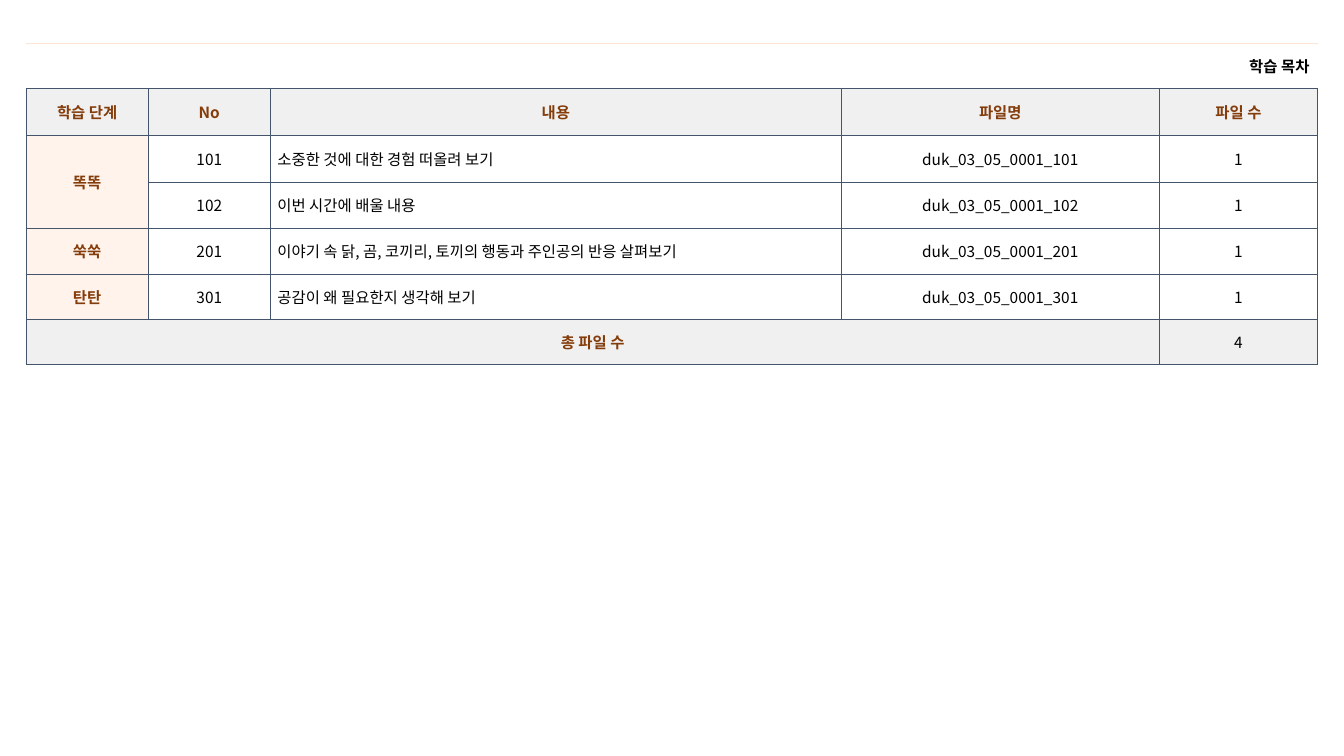
from lxml.etree import SubElement
from pptx import Presentation
from pptx.dml.color import RGBColor
from pptx.enum.text import MSO_ANCHOR, PP_ALIGN
from pptx.oxml.ns import qn
from pptx.util import Inches, Pt

FONT = "Noto Sans CJK KR"
COLORS = {
    "ink": "000000",
    "brown": "843C0B",
    "grey": "F1F0F0",
    "peach": "FFF3EB",
    "white": "FFFFFF",
    "grid": "44546A",
    "caption_line": "FBE5D6",
}
GRID_LINE = ("grid", 0.5)
GRID_BORDERS = {side: GRID_LINE for side in "LRTB"}
CAPTION_BORDERS = {"L": None, "R": None, "T": ("caption_line", 0.25), "B": GRID_LINE}

COLUMN_WIDTHS = [1.21, 1.21, 5.66, 3.15, 1.57]
ROW_HEIGHTS = [0.45, 0.46, 0.46, 0.46, 0.45, 0.45, 0.45]
CAPTION = "학습 목차"
HEADINGS = ["학습 단계", "No", "내용", "파일명", "파일 수"]
STAGES = [
    ("똑똑", [("101", "소중한 것에 대한 경험 떠올려 보기"), ("102", "이번 시간에 배울 내용")]),
    ("쑥쑥", [("201", "이야기 속 닭, 곰, 코끼리, 토끼의 행동과 주인공의 반응 살펴보기")]),
    ("탄탄", [("301", "공감이 왜 필요한지 생각해 보기")]),
]


def set_borders(cell, borders):
    properties = cell._tc.get_or_add_tcPr()
    for side, line in borders.items():
        border = SubElement(properties, qn(f"a:ln{side}"))
        if line is None:
            SubElement(border, qn("a:noFill"))
            continue
        color, width = line
        border.set("w", str(Pt(width)))
        fill = SubElement(border, qn("a:solidFill"))
        SubElement(fill, qn("a:srgbClr"), val=COLORS[color])


def style_cell(cell, fill=None, borders=GRID_BORDERS):
    set_borders(cell, borders)
    if fill:
        cell.fill.solid()
        cell.fill.fore_color.rgb = RGBColor.from_string(COLORS[fill])
    else:
        cell.fill.background()


def write_text(cell, text, color="ink", bold=False, align=PP_ALIGN.CENTER, inset=0.07):
    cell.vertical_anchor = MSO_ANCHOR.MIDDLE
    cell.margin_left = cell.margin_right = Inches(inset)
    cell.margin_top = cell.margin_bottom = Inches(0.05)
    para = cell.text_frame.paragraphs[0]
    para.alignment = align
    span = para.add_run()
    span.text = text
    span.font.size = Pt(11)
    span.font.bold = bold
    span.font.name = FONT
    span.font.color.rgb = RGBColor.from_string(COLORS[color])
    SubElement(span._r.get_or_add_rPr(), qn("a:ea"), typeface=FONT)


def write_label(cell, text):
    write_text(cell, text, color="brown", bold=True)


def fill_stages(table, first_row):
    """Write the lesson rows, merging each stage name down its files; return the file count."""
    row = first_row
    for stage, files in STAGES:
        last = row + len(files) - 1
        if last > row:
            table.cell(row, 0).merge(table.cell(last, 0))
        write_label(table.cell(row, 0), stage)
        for number, content in files:
            style_cell(table.cell(row, 0), "peach")
            for column in range(1, len(HEADINGS)):
                style_cell(table.cell(row, column), "white")
            write_text(table.cell(row, 1), number)
            write_text(table.cell(row, 2), content, align=PP_ALIGN.LEFT)
            write_text(table.cell(row, 3), f"duk_03_05_0001_{number}")
            write_text(table.cell(row, 4), "1")
            row += 1
    return row - first_row


def add_contents_table(page, left, top, width, height):
    frame = page.shapes.add_table(
        len(ROW_HEIGHTS), len(COLUMN_WIDTHS),
        Inches(left), Inches(top), Inches(width), Inches(height))
    table = frame.table
    table.first_row = table.horz_banding = False
    for column, share in zip(table.columns, COLUMN_WIDTHS):
        column.width = Inches(width * share / sum(COLUMN_WIDTHS))
    for row, share in zip(table.rows, ROW_HEIGHTS):
        row.height = Inches(height * share / sum(ROW_HEIGHTS))

    last_row, last_column = len(ROW_HEIGHTS) - 1, len(COLUMN_WIDTHS) - 1
    for column, heading in enumerate(HEADINGS):
        style_cell(table.cell(0, column), borders=CAPTION_BORDERS)
        style_cell(table.cell(1, column), "grey")
        style_cell(table.cell(last_row, column), "grey")
        write_label(table.cell(1, column), heading)

    table.cell(0, 0).merge(table.cell(0, last_column))
    write_text(table.cell(0, 0), CAPTION, bold=True, align=PP_ALIGN.RIGHT, inset=0.08)
    file_count = fill_stages(table, first_row=2)
    table.cell(last_row, 0).merge(table.cell(last_row, last_column - 1))
    write_label(table.cell(last_row, 0), "총 파일 수")
    write_text(table.cell(last_row, last_column), str(file_count))


def main():
    deck = Presentation()
    deck.slide_width, deck.slide_height = Inches(13.33), Inches(7.5)
    page = deck.slides.add_slide(deck.slide_layouts.get_by_name("Blank"))
    add_contents_table(page, 0.26, 0.43, 12.81, 3.19)
    deck.save("out.pptx")


if __name__ == "__main__":
    main()
